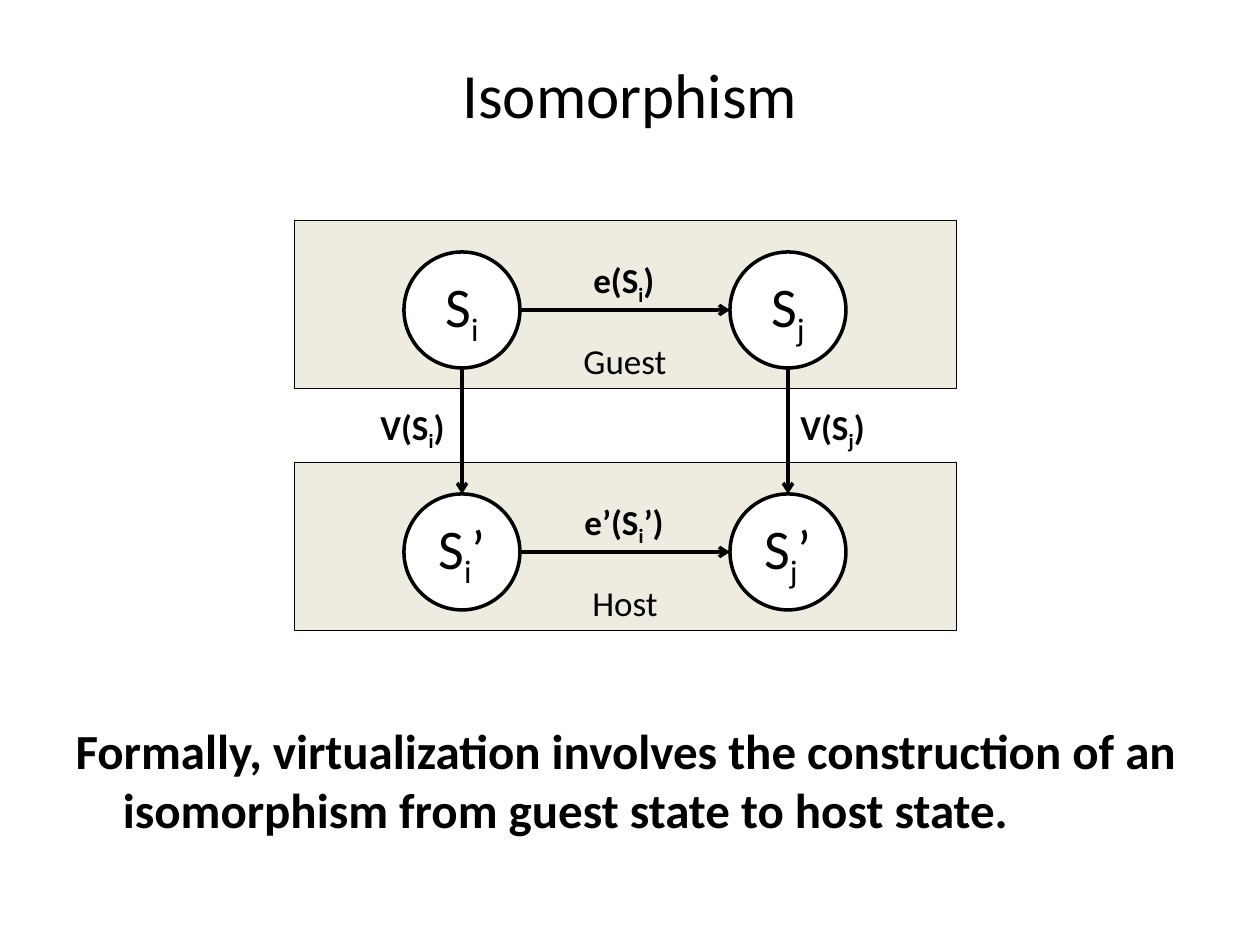
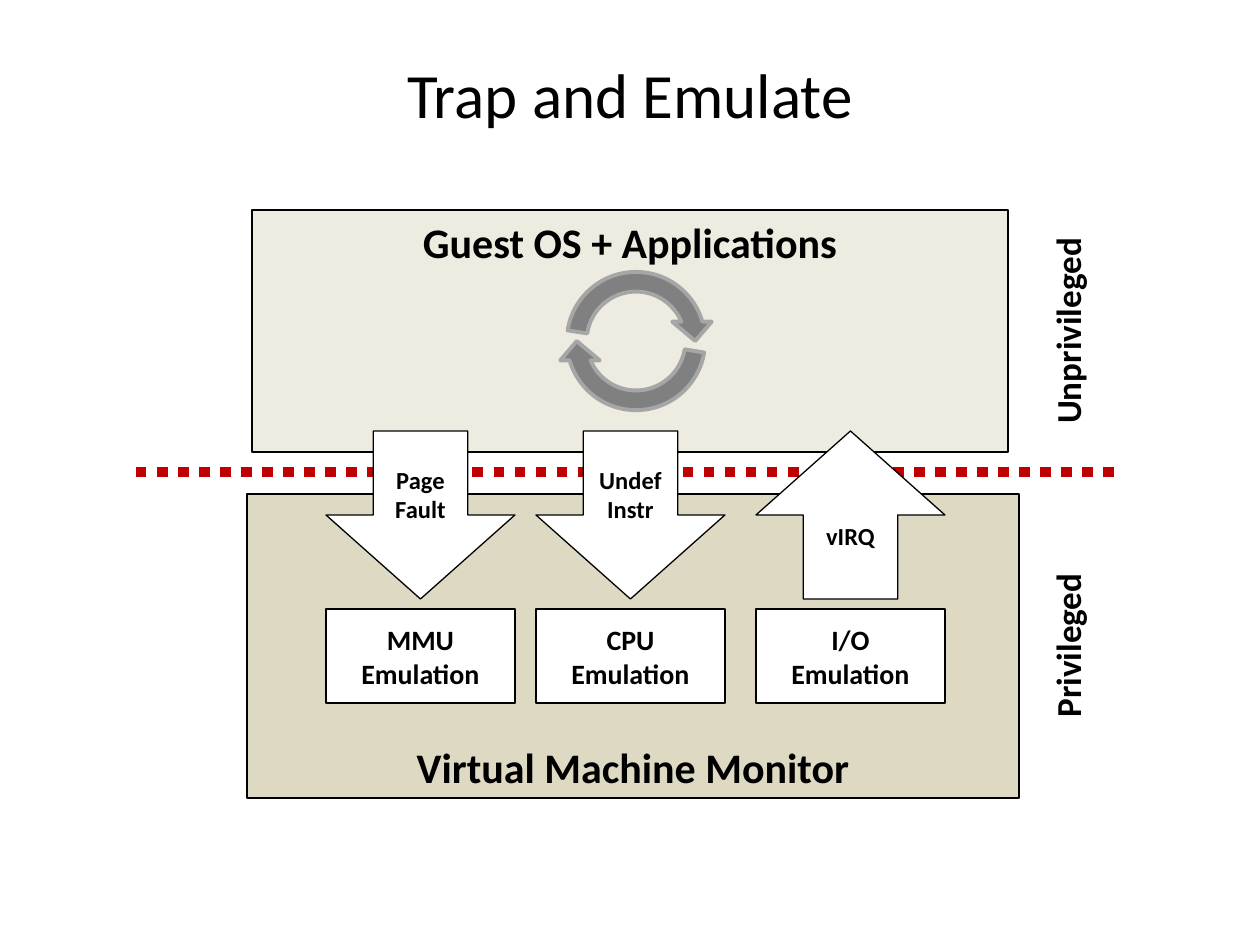
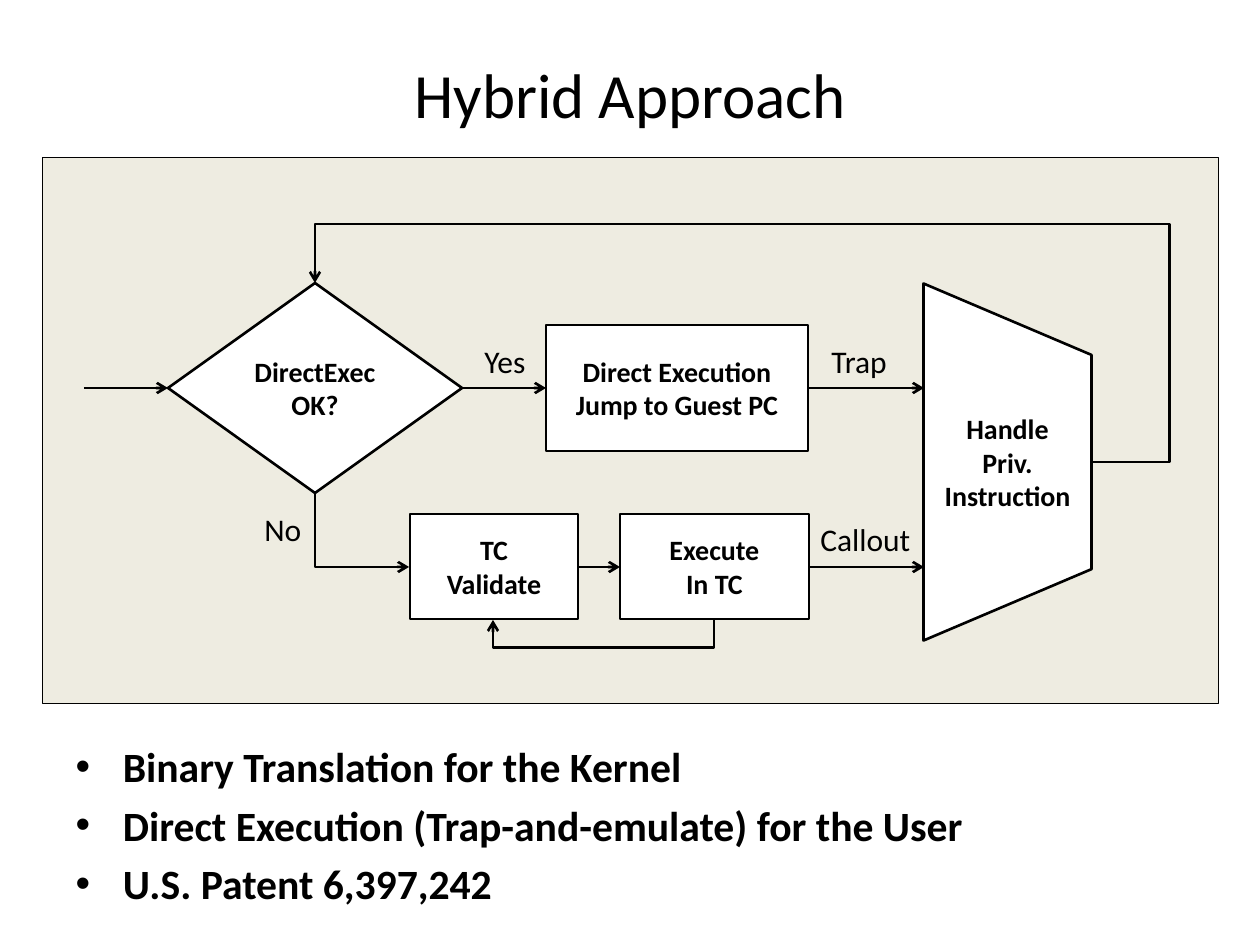
from dataclasses import dataclass

from lxml import etree
from pptx import Presentation
from pptx import util as u
from pptx.dml.color import RGBColor
from pptx.enum import dml, shapes, text
from pptx.oxml.ns import qn

PX = 914400 / 126
KIND = shapes.MSO_SHAPE
LINK = shapes.MSO_CONNECTOR
MID = text.MSO_ANCHOR.MIDDLE
TOP = text.MSO_ANCHOR.TOP
LOW = text.MSO_ANCHOR.BOTTOM


@dataclass(frozen=True)
class Theme:
    """Colours, font and type sizes of the deck."""
    font: str = "Calibri"
    ink: str = "000000"
    paper: str = "FFFFFF"
    sand: str = "EEECE1"
    tan: str = "DDD9C3"
    red: str = "C00000"
    gray: str = "808080"
    rim: str = "A6A6A6"
    title: float = 36
    state: float = 32
    lead: float = 28
    head: float = 24
    list: float = 23.8
    label: float = 20
    note: float = 18
    step: float = 16
    small: float = 14


T = Theme()


def px(n):
    """Turn picture pixels into EMU."""
    return u.Emu(round(n * PX))


def rgb(code):
    """Make a colour from its hex code."""
    return RGBColor.from_string(code)


def write(frame, words, size, bold=False, align=None):
    """Fill a text frame; odd parts between underscores are subscripts."""
    frame.text = words.replace("_", "")
    for para, row in zip(frame.paragraphs, words.split("\n")):
        if align is not None:
            para.alignment = align
        if "_" in row:
            para.clear()
            for i, part in enumerate(row.split("_")):
                run = para.add_run()
                run.text = part
                if i % 2:
                    run.font._element.set("baseline", "-25000")
        for run in para.runs:
            font = run.font
            font.name, font.size, font.bold = T.font, u.Pt(size), bold
            font.color.rgb = rgb(T.ink)


def place(shape, left, top, width, height):
    """Move and size a placeholder."""
    shape.left, shape.top = px(left), px(top)
    shape.width, shape.height = px(width), px(height)


def page(deck, title, layout):
    """Add a slide with the shared title style."""
    slide = deck.slides.add_slide(deck.slide_layouts[layout])
    head = slide.shapes.title
    place(head, 63, 38, 1134, 110)
    head.text_frame.vertical_anchor = MID
    write(head.text_frame, title, T.title, align=text.PP_ALIGN.CENTER)
    return slide


def body(slide, box, words, size, bullet=True):
    """Fill the body placeholder, with or without bullets."""
    hold = slide.placeholders[1]
    place(hold, *box)
    hold.text_frame.auto_size = text.MSO_AUTO_SIZE.NONE
    write(hold.text_frame, words, size, True)
    if not bullet:
        for para in hold.text_frame.paragraphs:
            props = para._p.get_or_add_pPr()
            etree.SubElement(props, qn("a:buNone"))


def block(slide, kind, box, words="", size=T.step, bold=True, fill=T.paper,
          line=T.ink, weight=0.75, anchor=MID):
    """Add a filled, outlined shape with centred text."""
    shape = slide.shapes.add_shape(kind, *map(px, box))
    shape.shadow.inherit = False
    shape.fill.solid()
    shape.fill.fore_color.rgb = rgb(fill)
    shape.line.color.rgb = rgb(line)
    shape.line.width = u.Pt(weight)
    if words:
        frame = shape.text_frame
        frame.word_wrap = False
        frame.vertical_anchor = anchor
        write(frame, words, size, bold, text.PP_ALIGN.CENTER)
    return shape


def turn(shape, way):
    """Set the text direction of a shape."""
    shape.text_frame._txBody.find(qn("a:bodyPr")).set("vert", way)


def label(slide, box, words, size=T.label, bold=True, align=None):
    """Add a free label that fits its text."""
    shape = slide.shapes.add_textbox(*map(px, box))
    shape.text_frame.word_wrap = False
    shape.text_frame.auto_size = text.MSO_AUTO_SIZE.SHAPE_TO_FIT_TEXT
    write(shape.text_frame, words, size, bold, align)
    return shape


def link(slide, start, end, weight=1.5, color=T.ink, arrow=True,
         kind=LINK.STRAIGHT):
    """Add a line, by default with an arrowhead at its end."""
    wire = slide.shapes.add_connector(kind, *map(px, start + end))
    wire.line.color.rgb = rgb(color)
    wire.line.width = u.Pt(weight)
    props = wire.element.spPr
    if arrow:
        etree.SubElement(props.find(qn("a:ln")), qn("a:tailEnd"), type="arrow")
    etree.SubElement(props, qn("a:effectLst"))
    return wire


def bend(slide, start, end, form, turned=0, adjs=()):
    """Add an elbow arrow; start and end are given before it is turned."""
    wire = link(slide, start, end, kind=LINK.ELBOW)
    props = wire.element.spPr
    if turned:
        props.find(qn("a:xfrm")).set("rot", str(turned * 60000))
    geom = props.find(qn("a:prstGeom"))
    geom.set("prst", form)
    guides = geom.find(qn("a:avLst"))
    for i, adj in enumerate(adjs, 1):
        etree.SubElement(guides, qn("a:gd"), name=f"adj{i}",
                         fmla=f"val {round(adj * 100000)}")


def morph(deck):
    """Build the slide on guest and host states."""
    slide = page(deck, "Isomorphism", 1)
    body(slide, (63, 714, 1134, 130),
         "Formally, virtualization involves the construction of an "
         "isomorphism from guest state to host state.", T.lead, False)
    cols, size, drop = (404, 730), 116, 242
    half = size // 2
    rows = (("Guest", "", "e(S_i_)", 581), ("Host", "’", "e’(S_i_’)", 572))
    for n, (name, mark, call, left) in enumerate(rows):
        top = 252 + n * drop
        block(slide, KIND.RECTANGLE, (294, top - 32, 662, 168), name, T.label,
              False, T.sand, weight=0.25, anchor=LOW)
        for x, sub in zip(cols, "ij"):
            block(slide, KIND.OVAL, (x, top, size, size), f"S_{sub}_{mark}",
                  T.state, False, weight=2)
        link(slide, (cols[0] + size, top + half), (cols[1], top + half), 2)
        label(slide, (left, top, 2 * (625 - left), 55), call)
    for x, sub, left in zip(cols, "ij", (368, 788)):
        link(slide, (x + half, 252 + size), (x + half, 252 + drop), 2)
        label(slide, (left, 399, 90, 55), f"V(S_{sub}_)")


def trap(deck):
    """Build the slide on trapping into the monitor."""
    slide = page(deck, "Trap and Emulate", 5)
    edge = link(slide, (136, 472), (1124, 472), 6, T.red, False)
    edge.line.dash_style = dml.MSO_LINE.ROUND_DOT
    block(slide, KIND.RECTANGLE, (252, 210, 756, 242),
          "Guest OS + Applications", T.head, fill=T.sand, anchor=TOP)
    for spin, sweep in ((0, 113.3), (180, 113.75)):
        loop = block(slide, KIND.CIRCULAR_ARROW, (557, 262, 158, 158),
                     fill=T.gray, line=T.rim, weight=2.25)
        loop.rotation = spin
        for i, adj in enumerate((0.125, 11.42, 204.58, sweep, 0.125)):
            loop.adjustments[i] = adj
    block(slide, KIND.RECTANGLE, (247, 494, 772, 304),
          "Virtual Machine Monitor", T.head, fill=T.tan, anchor=LOW)
    units = ((326, KIND.DOWN_ARROW, "Page\nFault", "MMU"),
             (536, KIND.DOWN_ARROW, "Undef\nInstr", "CPU"),
             (756, KIND.UP_ARROW, "vIRQ", "I/O"))
    for x, kind, event, unit in units:
        block(slide, kind, (x, 431, 189, 168), event, T.small)
        block(slide, KIND.RECTANGLE, (x, 609, 189, 94), unit + "\nEmulation")
    for top, tall, mode in ((231, 200, "Unprivileged"), (567, 157, "Privileged")):
        turn(label(slide, (1040, top, 68, tall), mode,
                   align=text.PP_ALIGN.CENTER), "vert270")


def hybrid(deck):
    """Build the flow chart slide."""
    slide = page(deck, "Hybrid Approach", 1)
    body(slide, (63, 735, 1134, 158),
         "Binary Translation for the Kernel\n"
         "Direct Execution (Trap-and-emulate) for the User\n"
         "U.S. Patent 6,397,242", T.list)
    block(slide, KIND.RECTANGLE, (42, 157, 1176, 546), fill=T.sand, weight=0.5)
    steps = (
        (KIND.FLOWCHART_DECISION, (168, 283, 294, 210), "DirectExec\nOK?"),
        (KIND.RECTANGLE, (546, 325, 262, 126),
         "Direct Execution\nJump to Guest PC"),
        (KIND.RECTANGLE, (620, 514, 189, 105), "Execute\nIn TC"),
        (KIND.RECTANGLE, (410, 514, 168, 105), "TC\nValidate"))
    for kind, box, words in steps:
        block(slide, kind, box, words, weight=1.5)
    gate = block(slide, KIND.FLOWCHART_MANUAL_OPERATION, (829, 378, 357, 168),
                 "Handle\nPriv.\nInstruction", weight=1.5)
    gate.rotation = 270
    turn(gate, "vert")
    for y, spans in ((388, ((84, 168), (462, 546), (808, 924))),
                     (567, ((578, 620), (809, 924)))):
        for a, b in spans:
            link(slide, (a, y), (b, y))
    bend(slide, (399, 483), (325, 577), "bentConnector2", 270)
    bend(slide, (1092, 462), (315, 283), "bentConnector4", 0, (-0.1, 1.33))
    bend(slide, (603, 509), (604, 730), "bentConnector3", 90, (29,))
    for x, y, wide, words in ((472, 336, 67, "Yes"), (252, 504, 63, "No"),
                              (808, 514, 116, "Callout"),
                              (819, 336, 82, "Trap")):
        label(slide, (x, y, wide, 50), words, T.note, False)


def main():
    """Build and save the deck."""
    deck = Presentation()
    deck.slide_width, deck.slide_height = u.Inches(10), u.Inches(7.5)
    morph(deck)
    trap(deck)
    hybrid(deck)
    deck.save("out.pptx")


main()
